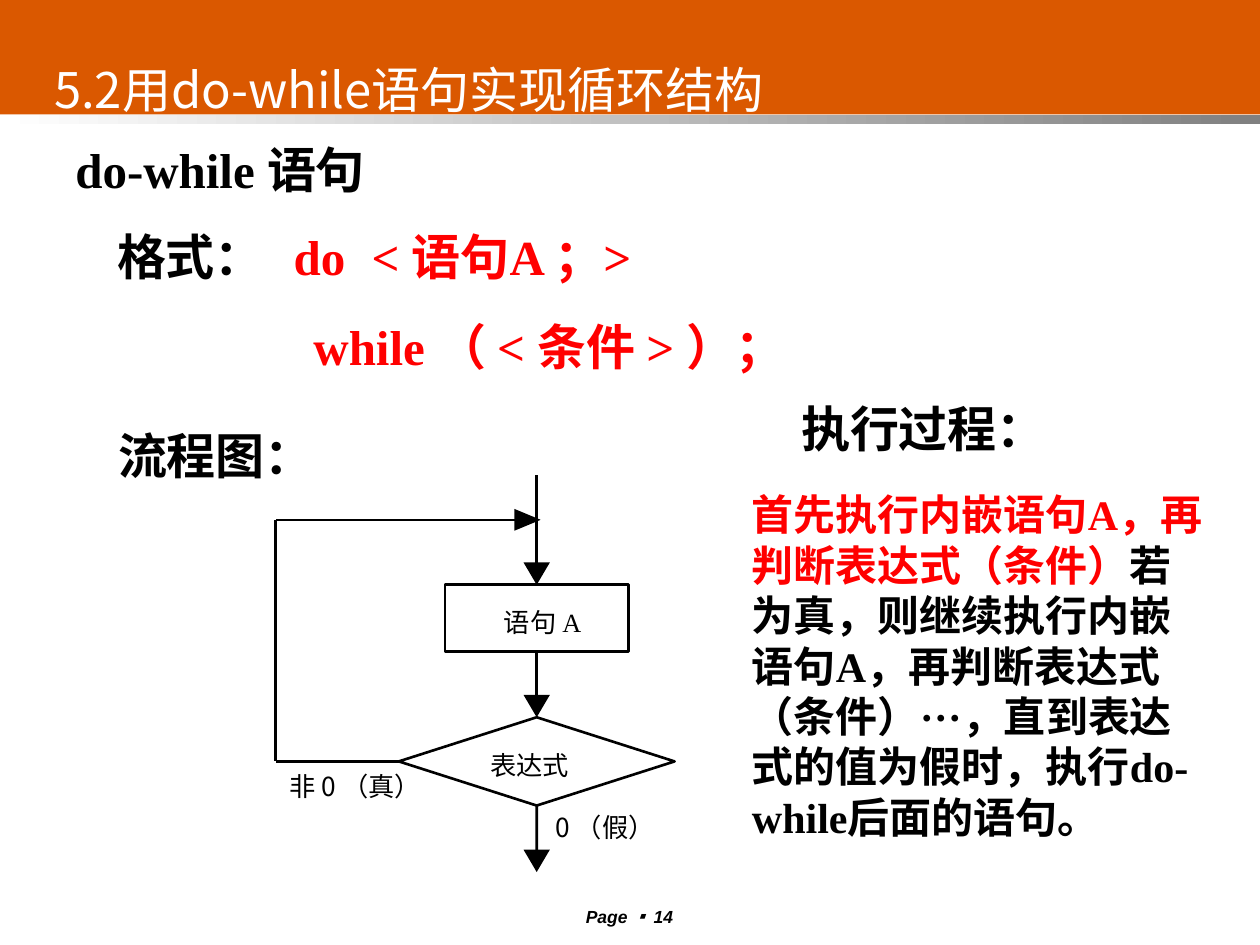
"""Build the slide on the do-while loop with its syntax, flowchart and explanation."""
import dataclasses
import typing

import lxml.etree
import pptx
import pptx.dml.color
import pptx.enum.dml
import pptx.enum.shapes
import pptx.enum.text
import pptx.oxml
import pptx.oxml.ns
import pptx.util

Cm = pptx.util.Cm
Pt = pptx.util.Pt
qn = pptx.oxml.ns.qn
ALIGN = pptx.enum.text.PP_ALIGN
SHAPES = pptx.enum.shapes.MSO_SHAPE

COLORS = {
    "band": "DA5800",
    "grey": "808080",
    "white": "FFFFFF",
    "black": "000000",
    "red": "FF0000",
}
TIMES = "Times New Roman"
COURIER = "Courier New"
CJK = "Noto Sans CJK SC"
CJK_TITLE = "Noto Sans CJK JP"
LEADING = 1.2
AXIS = 10.82
LOOP_LEFT = 5.56
LOOP_TOP = 10.48
HEAD_WIDTH = 0.53
HEAD_LENGTH = 0.45


class Area(typing.NamedTuple):
    left: float
    top: float
    width: float
    height: float

    def lengths(self) -> list:
        return [Cm(value) for value in self]


class Span(typing.NamedTuple):
    text: str
    font: str = TIMES
    color: str = "black"


@dataclasses.dataclass
class Line:
    spans: list[Span]
    indent: float = 0
    before: float = 0
    spacing: float = LEADING
    tabs: tuple[float, ...] = ()
    align: typing.Any = ALIGN.LEFT


@dataclasses.dataclass
class Block:
    area: Area
    lines: list[Line]
    size: float = 28
    bold: bool = True
    italic: bool = False
    inset: bool = True


def rgb(name: str) -> pptx.dml.color.RGBColor:
    return pptx.dml.color.RGBColor.from_string(COLORS[name])


def style_span(run, span: Span, size: float, bold: bool, italic: bool = False) -> None:
    font = run.font
    font.name, font.size, font.bold, font.italic = span.font, Pt(size), bold, italic
    font.color.rgb = rgb(span.color)
    east_asian = lxml.etree.SubElement(run._r.get_or_add_rPr(), qn("a:ea"))
    east_asian.set("typeface", CJK_TITLE if span.font == CJK_TITLE else CJK)


def write_line(para, line: Line, block: Block) -> None:
    properties = para._p.get_or_add_pPr()
    if line.indent:
        properties.set("marL", str(Cm(line.indent)))
    if line.tabs:
        stops = lxml.etree.SubElement(properties, qn("a:tabLst"))
        for position in line.tabs:
            lxml.etree.SubElement(stops, qn("a:tab"), pos=str(Cm(position)), algn="l")
    para.alignment = line.align
    para.line_spacing = Pt(round(line.spacing * block.size, 1))
    para.space_before = Pt(line.before)
    for span in line.spans:
        run = para.add_run()
        run.text = span.text
        style_span(run, span, block.size, block.bold, block.italic)


def add_block(page, block: Block) -> None:
    frame = page.shapes.add_textbox(*block.area.lengths()).text_frame
    frame.word_wrap = True
    if not block.inset:
        frame.margin_left = frame.margin_right = frame.margin_top = frame.margin_bottom = 0
    for index, line in enumerate(block.lines):
        para = frame.add_paragraph() if index else frame.paragraphs[0]
        write_line(para, line, block)


def add_band(page, area: Area):
    band = page.shapes.add_shape(SHAPES.RECTANGLE, *area.lengths())
    band.shadow.inherit = False
    band.line.fill.background()
    return band


def add_node(page, kind, area: Area):
    node = page.shapes.add_shape(kind, *area.lengths())
    node.shadow.inherit = False
    node.fill.background()
    node.line.color.rgb = rgb("black")
    node.line.width = Pt(1.5)
    return node


def add_line(page, start: tuple[float, float], end: tuple[float, float]):
    line = page.shapes.add_connector(
        pptx.enum.shapes.MSO_CONNECTOR.STRAIGHT, *[Cm(value) for value in start + end]
    )
    line.line.color.rgb = rgb("black")
    line.line.width = Pt(1.5)
    lxml.etree.SubElement(line._element.spPr, qn("a:effectLst"))
    return line


def add_head(page, corners: list[tuple[float, float]]) -> None:
    points = [(Cm(x), Cm(y)) for x, y in corners]
    builder = page.shapes.build_freeform(*points[0])
    builder.add_line_segments(points[1:], close=True)
    head = builder.convert_to_shape()
    head.shadow.inherit = False
    head.fill.solid()
    head.fill.fore_color.rgb = rgb("black")
    head.line.fill.background()


def add_down_arrow(page, top: float, tip: float):
    base = tip - HEAD_LENGTH
    half = HEAD_WIDTH / 2
    add_head(page, [(AXIS - half, base), (AXIS, tip), (AXIS + half, base)])
    return add_line(page, (AXIS, top), (AXIS, base))


def add_flowchart(page) -> None:
    statement = add_node(page, SHAPES.RECTANGLE, Area(8.97, 11.79, 3.7, 1.35))
    condition = add_node(page, SHAPES.DIAMOND, Area(8.04, 14.46, 5.56, 1.78))
    add_down_arrow(page, 9.58, 11.79)
    add_down_arrow(page, 13.14, 14.46).begin_connect(statement, 2)
    add_down_arrow(page, 16.24, 17.58).begin_connect(condition, 2)
    back = add_line(page, (LOOP_LEFT, 15.35), (8.04, 15.35))
    back.end_connect(condition, 1)
    add_line(page, (LOOP_LEFT, LOOP_TOP), (LOOP_LEFT, 15.35))
    add_line(page, (LOOP_LEFT, LOOP_TOP), (10.39, LOOP_TOP))
    add_head(page, [(10.37, LOOP_TOP - 0.22), (10.9, LOOP_TOP), (10.37, LOOP_TOP + 0.22)])
    labels = [
        (Area(5.84, 15.52, 2.9, 0.64), [Span("非 0 （真）", CJK)]),
        (Area(11.2, 16.36, 2.3, 0.64), [Span("0 （假）", CJK)]),
        (Area(10.16, 12.22, 2, 0.64), [Span("语句 ", CJK), Span("A")]),
        (Area(9.88, 15.11, 1.8, 0.64), [Span("表达式", CJK)]),
    ]
    for area, spans in labels:
        add_block(page, Block(area, [Line(spans)], size=15, bold=False, inset=False))


def add_title(page) -> None:
    title = page.shapes.title
    title.left, title.top, title.width, title.height = Area(0.84, 0.84, 17.53, 1.9).lengths()
    frame = title.text_frame
    frame.text = "5.2用do-while语句实现循环结构"
    frame.vertical_anchor = pptx.enum.text.MSO_ANCHOR.MIDDLE
    para = frame.paragraphs[0]
    para.alignment = ALIGN.JUSTIFY
    style_span(para.runs[0], Span(frame.text, CJK_TITLE, "white"), 28, False)


def add_background(page) -> None:
    banner = add_band(page, Area(0, 0, 25.4, 2.31))
    banner.fill.solid()
    banner.fill.fore_color.rgb = rgb("band")
    rule = add_band(page, Area(0, 2.31, 25.4, 0.2))
    rule.fill.gradient()
    rule.fill.gradient_angle = 0
    for stop, name in zip(rule.fill.gradient_stops, ("white", "grey")):
        stop.color.rgb = rgb(name)
    for band in (rule, banner):
        page.shapes._spTree.insert(2, band._element)


def main() -> None:
    deck = pptx.Presentation()
    deck.slide_width, deck.slide_height = Cm(25.4), Cm(19.05)
    page = deck.slides.add_slide(deck.slide_layouts[5])
    add_background(page)
    add_title(page)
    syntax = [
        Line([Span("格式：", COURIER), Span("\tdo\t< 语句A ；>", color="red")], tabs=(3.56, 5.13)),
        Line([Span("while （ < 条件 > ）；", color="red")], indent=3.96, before=17.5),
    ]
    process = [
        Span("首先", COURIER, "red"),
        Span("执行内嵌语句A，再判断表达式（条件）", color="red"),
        Span("若为真，则继续执行内嵌语句A，再判断表达式（条件）···，"
             "直到表达式的值为假时，执行do-while后面的语句。"),
    ]
    number = [Span("Page ", "Arial"), Span("▪ ", CJK_TITLE), Span("14", "Arial")]
    heading = Line([Span("do-while "), Span("语句", CJK)], indent=0.53, spacing=1.3 * LEADING)
    blocks = [
        Block(Area(0.74, 2.34, 8, 1.8), [heading]),
        Block(Area(2.11, 4.45, 18.85, 3.25), syntax),
        Block(Area(2.13, 8.46, 4.8, 1.45), [Line([Span("流程图：", COURIER)])]),
        Block(Area(15.9, 7.92, 8.03, 1.45), [Line([Span("执行过程：", COURIER)])]),
        Block(Area(14.91, 9.73, 9.6, 7.37), [Line(process)], size=24),
        Block(Area(10.69, 18.14, 4, 0.56), [Line(number, align=ALIGN.CENTER)], size=10, italic=True),
    ]
    for block in blocks:
        add_block(page, block)
    add_flowchart(page)
    deck.save("out.pptx")


if __name__ == "__main__":
    main()
